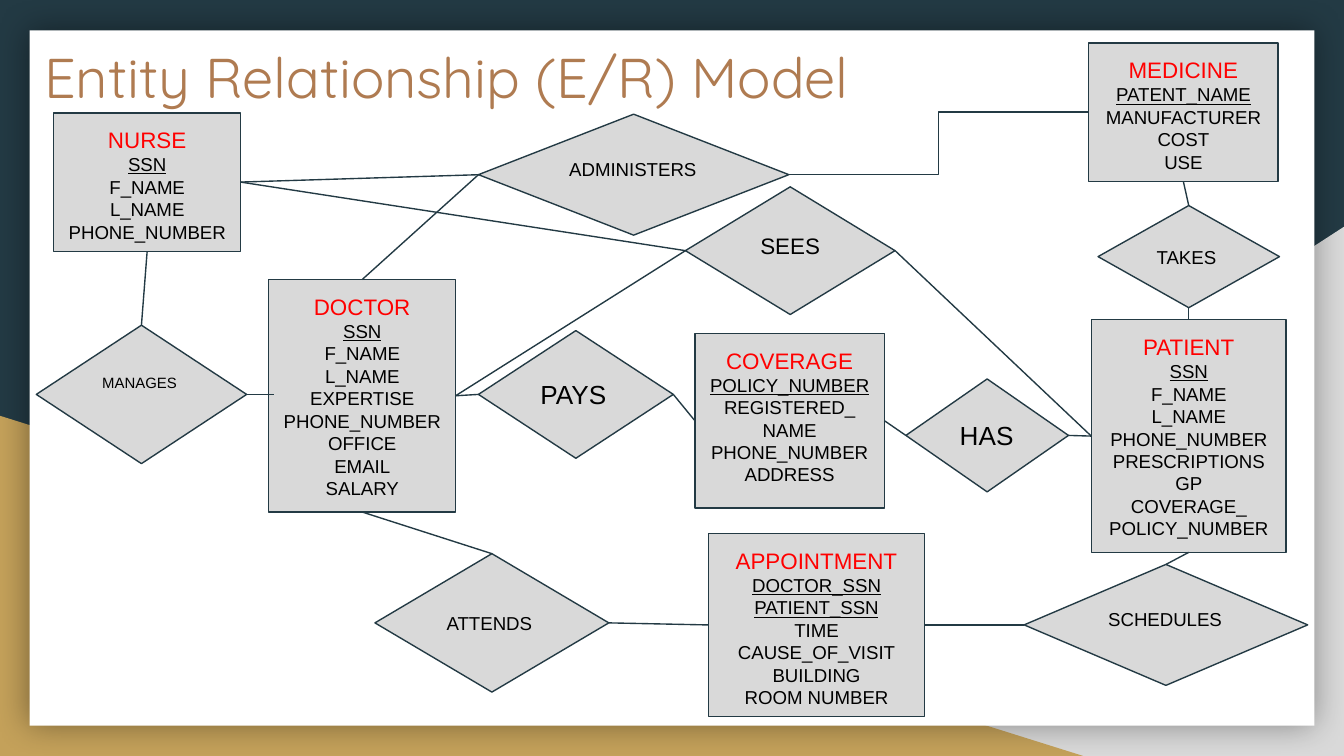
from lxml import etree
from pptx import Presentation
from pptx import util as u
from pptx.dml import color
from pptx.enum import shapes, text
from pptx.oxml import ns

COLUMN = ROW = u.Inches(0.1)
INK, GREY, GOLD, WHITE = "233A44", "D9D9D9", "C4A15A", "FFFFFF"
RED, BLACK, BRONZE = "FF0000", "000000", "AF7B51"
TOP, LEFT, BOTTOM, RIGHT = range(4)

ENTITIES = {
    "DOCTOR": ((20, 20.8, 13.9, 17.3), 1, [
        "SSN", "F_NAME", "L_NAME", "EXPERTISE", "PHONE_NUMBER", "OFFICE", "EMAIL", "SALARY"]),
    "NURSE": ((4, 8.4, 13.9, 10.3), 1, ["SSN", "F_NAME", "L_NAME", "PHONE_NUMBER"]),
    "PATIENT": ((81.2, 23.8, 14.5, 17.3), 1, [
        "SSN", "F_NAME", "L_NAME", "PHONE_NUMBER", "PRESCRIPTIONS", "GP", "COVERAGE_",
        "POLICY_NUMBER"]),
    "MEDICINE": ((81, 3.2, 14.1, 10.3), 1, ["PATENT_NAME", "MANUFACTURER", "COST", "USE"]),
    "APPOINTMENT": ((52.7, 39.7, 16.1, 13.6), 2, [
        "DOCTOR_SSN", "PATIENT_SSN", "TIME", "CAUSE_OF_VISIT", "BUILDING", "ROOM NUMBER"]),
    "COVERAGE": ((51.7, 24.8, 14.1, 13), 1, [
        "POLICY_NUMBER", "REGISTERED_", "NAME", "PHONE_NUMBER", "ADDRESS"]),
}

RELATIONSHIPS = {
    "MANAGES": ((2.7, 24.2, 15.65, 10.3), 8, "t", "l"),
    "SEES": ((51, 13.9, 15.6, 9.5), 12, "t", "ctr"),
    "ADMINISTERS": ((35.6, 8.5, 23.1, 9), 10, "t", "l"),
    "TAKES": ((81.7, 15.3, 13.5, 7.6), 10, "ctr", "l"),
    "SCHEDULES": ((76.2, 42, 21.1, 9), 10, "t", "l"),
    "ATTENDS": ((27.9, 41.2, 17.4, 10.3), 10, "ctr", "l"),
    "PAYS": ((35.6, 24.6, 14.5, 9.5), 14, "ctr", "l"),
    "HAS": ((67.4, 28.2, 12.1, 8.4), 14, "ctr", "l"),
}

LINKS = [
    ("MANAGES", TOP, "NURSE", BOTTOM),
    ("DOCTOR", RIGHT, "SEES", LEFT),
    ("SEES", RIGHT, "PATIENT", LEFT),
    ("MEDICINE", BOTTOM, "TAKES", TOP),
    ("TAKES", BOTTOM, "PATIENT", TOP),
    ("ADMINISTERS", LEFT, "DOCTOR", TOP),
    ("PATIENT", BOTTOM, "SCHEDULES", TOP),
    ("SCHEDULES", LEFT, "APPOINTMENT", RIGHT),
    ("APPOINTMENT", LEFT, "ATTENDS", RIGHT),
    ("ATTENDS", TOP, "DOCTOR", BOTTOM),
    ("DOCTOR", RIGHT, "PAYS", LEFT),
    ("PAYS", RIGHT, "COVERAGE", LEFT),
    ("COVERAGE", RIGHT, "HAS", LEFT),
    ("HAS", RIGHT, "PATIENT", LEFT),
    ("NURSE", RIGHT, "SEES", LEFT),
    ("NURSE", RIGHT, "ADMINISTERS", LEFT),
]


def rgb(value):
    """Turn a hex string into a colour."""
    return color.RGBColor.from_string(value)


def place(box):
    """Turn columns and rows into lengths."""
    return [int(share * unit) for share, unit in zip(box, (COLUMN, ROW) * 2)]


def add_block(slide, kind, box, fill, outline=None):
    """Add a flat filled shape, outlined if a colour is given."""
    block = slide.shapes.add_shape(kind, *place(box))
    block.shadow.inherit = False
    block.fill.solid()
    block.fill.fore_color.rgb = rgb(fill)
    if outline:
        block.line.color.rgb = rgb(outline)
        block.line.width = u.Pt(0.75)
    else:
        block.line.fill.background()
    return block


def set_up_frame(frame, anchor="t"):
    """Give a text frame even insets, wrapping and an anchor."""
    frame.word_wrap = True
    frame.margin_left = frame.margin_right = frame.margin_top = frame.margin_bottom = u.Inches(0.1)
    frame.vertical_anchor = text.MSO_ANCHOR.from_xml(anchor)


def style(paragraph, size, ink, face="Arial", align="l", underline=None):
    """Format the runs of a paragraph and align it."""
    paragraph.alignment = text.PP_ALIGN.from_xml(align)
    for run in paragraph.runs:
        run.font.size = u.Pt(size)
        run.font.name = face
        run.font.color.rgb = rgb(ink)
        run.font.underline = underline


def add_backdrop(slide, box):
    """Fill a box with two corner wedges and a white panel that casts a soft shadow."""
    left, top, width, height = box
    slide.background.fill.solid()
    slide.background.fill.fore_color.rgb = rgb(INK)
    wedge = shapes.MSO_SHAPE.RIGHT_TRIANGLE
    right_wedge = add_block(
        slide, wedge, (left + 0.392 * width, top + 0.3 * height, 0.608 * width, 0.7 * height), GREY)
    right_wedge._element.spPr.xfrm.set("flipH", "1")
    add_block(slide, wedge, (left, top + 0.55 * height, 0.806 * width, 0.45 * height), GOLD)
    panel = add_block(slide, shapes.MSO_SHAPE.RECTANGLE,
                      (left + 2.2, top + 2.25, width - 4.4, height - 4.5), WHITE)
    effects = panel._element.spPr.find(ns.qn("a:effectLst"))
    glow = etree.SubElement(effects, ns.qn("a:outerShdw"), blurRad=str(u.Pt(18)), dist="0",
                            algn="ctr", rotWithShape="0")
    shade = etree.SubElement(glow, ns.qn("a:srgbClr"), val=BLACK)
    etree.SubElement(shade, ns.qn("a:alpha"), val="40000")


def add_title(slide, box, wording):
    """Write the slide's heading in a box."""
    frame = slide.shapes.add_textbox(*place(box)).text_frame
    set_up_frame(frame)
    frame.text = wording
    style(frame.paragraphs[0], 30, BRONZE, "Quicksand")


def add_entity(slide, box, name, key_count, attributes):
    """Draw an entity with its red name and its attributes, keys underlined."""
    entity = add_block(slide, shapes.MSO_SHAPE.RECTANGLE, box, GREY, INK)
    frame = entity.text_frame
    set_up_frame(frame)
    frame.text = "\n".join([name, *attributes])
    heading, *rows = frame.paragraphs
    style(heading, 12, RED, align="ctr")
    for index, row in enumerate(rows):
        style(row, 10, BLACK, align="ctr", underline=index < key_count)
    return entity


def add_relationship(slide, box, name, size, anchor, align):
    """Draw a relationship as a labelled diamond."""
    relationship = add_block(slide, shapes.MSO_SHAPE.DIAMOND, box, GREY, INK)
    frame = relationship.text_frame
    set_up_frame(frame, anchor)
    frame.text = name
    style(frame.paragraphs[0], size, BLACK, align=align)
    return relationship


def add_link(slide, start, start_side, end=None, end_side=None, stop=(0, 0),
             kind=shapes.MSO_CONNECTOR.STRAIGHT):
    """Link one side of a node to a side of another, or to a free point."""
    link = slide.shapes.add_connector(kind, 0, 0, *place(stop))
    link.begin_connect(start, start_side)
    if end is not None:
        link.end_connect(end, end_side)
    link.line.color.rgb = rgb(INK)
    link.line.width = u.Pt(0.75)
    etree.SubElement(link._element.spPr, ns.qn("a:effectLst"))


def add_diagram(slide):
    """Draw every entity and relationship, then the links between them."""
    nodes = {}
    for name, (box, key_count, attributes) in ENTITIES.items():
        nodes[name] = add_entity(slide, box, name, key_count, attributes)
    for name, (box, size, anchor, align) in RELATIONSHIPS.items():
        nodes[name] = add_relationship(slide, box, name, size, anchor, align)
    for start, start_side, end, end_side in LINKS:
        add_link(slide, nodes[start], start_side, nodes[end], end_side)
    add_link(slide, nodes["ADMINISTERS"], RIGHT, nodes["MEDICINE"], LEFT,
             kind=shapes.MSO_CONNECTOR.ELBOW)
    add_link(slide, nodes["MANAGES"], RIGHT, stop=(20.4, 29.35))


def main():
    """Build the slide and save it."""
    deck = Presentation()
    deck.slide_width, deck.slide_height = place((100, 56.25))
    slide = deck.slides.add_slide(deck.slide_layouts[6])
    add_backdrop(slide, (0, 0, 100, 56.25))
    add_title(slide, (2.3, 2.2, 82.1, 10.3), "Entity Relationship (E/R) Model")
    add_diagram(slide)
    deck.save("out.pptx")


if __name__ == "__main__":
    main()
